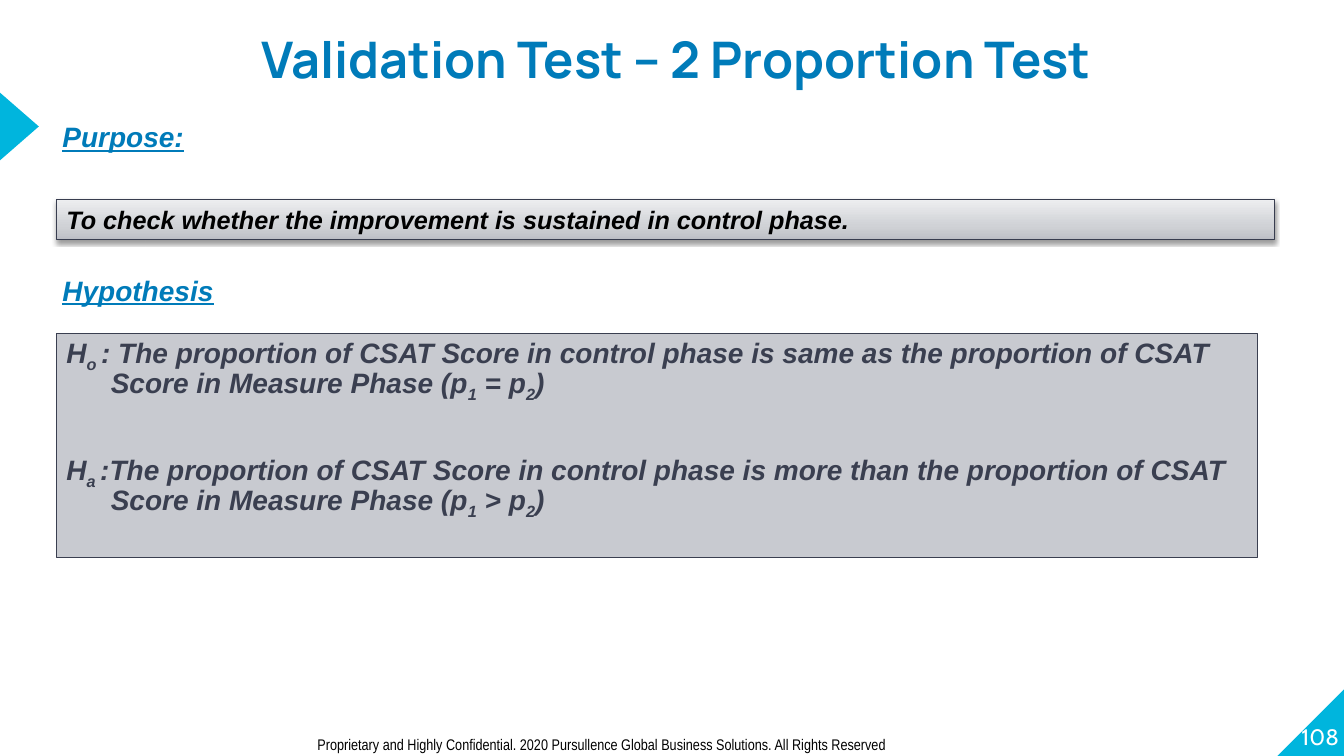
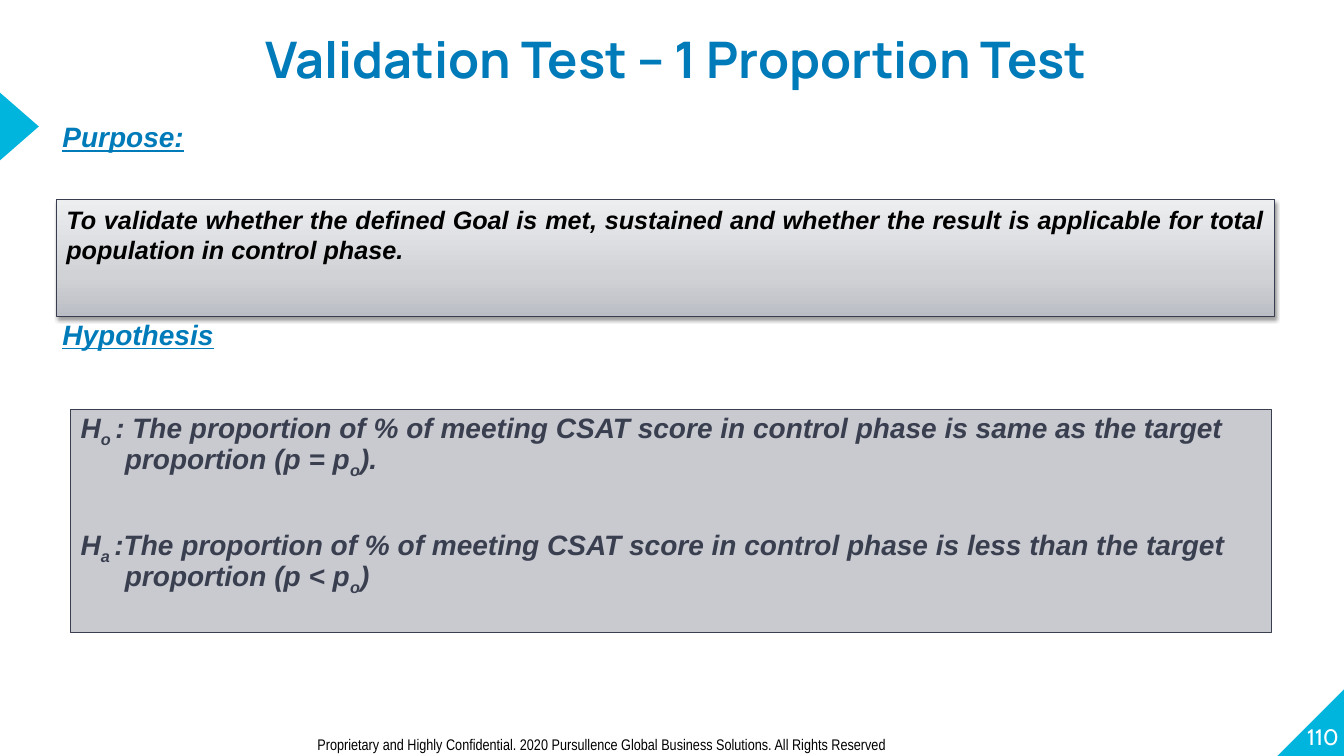
from copy import deepcopy
from dataclasses import dataclass

from pptx import Presentation
from pptx.dml.color import RGBColor
from pptx.enum.shapes import MSO_SHAPE as Shape
from pptx.enum.text import MSO_ANCHOR as Anchor, PP_ALIGN as Align
from pptx.oxml import parse_xml
from pptx.oxml.ns import nsdecls, qn
from pptx.util import Emu, Pt

PX = 9144


def px(length):
    return Emu(length * PX)


@dataclass(frozen=True)
class Theme:
    accent: str = "00B5DD"
    heading: str = "007BB9"
    ink: str = "000000"
    paper: str = "FFFFFF"
    slate: str = "3A3F50"
    panel: str = "C8CAD0"
    purpose_line: str = "383D4F"
    purpose_stops: tuple = ((0, "BCBEC5"), (0.35, "D0D2D6"), (1, "EDEEF0"))
    title_font: str = "Manrope"
    body_font: str = "Arial"
    footer_font: str = "Arial Narrow"
    number_font: str = "Cabin"
    title_size: int = 36
    heading_size: int = 20
    purpose_size: int = 18
    number_size: int = 16
    footer_size: int = 11
    line_width: float = 0.75


FOOTER = ("Proprietary and Highly Confidential. 2020 Pursullence Global "
          "Business Solutions. All Rights Reserved")
SHADOW = (f'<a:outerShdw {nsdecls("a")} blurRad="40000" dist="20000" dir="5400000" '
          'rotWithShape="0"><a:srgbClr val="000000"><a:alpha val="38000"/>'
          '</a:srgbClr></a:outerShdw>')


class Deck:
    def __init__(self, theme):
        self.theme = theme
        self.prs = Presentation()
        self.prs.slide_width, self.prs.slide_height = px(1333), px(750)
        self.slide = None

    def start_slide(self, title, number):
        t = self.theme
        self.slide = self.prs.slides.add_slide(self.prs.slide_layouts[6])
        self.shape(Shape.RIGHT_TRIANGLE, (1267, 682, 68, 68), t.accent).rotation = 270
        self.shape(Shape.ISOSCELES_TRIANGLE, (-15, 106, 68, 39), t.accent).rotation = 90
        self.text((1261, 676, 67, 68), str(number), t.number_font, t.number_size, t.paper,
                  align=Align.RIGHT, anchor=Anchor.BOTTOM, inset=False)
        self.text((305, 724, 851, 29), FOOTER, t.footer_font, t.footer_size, t.ink)
        heading = self.text((185, -2, 971, 76), title, t.title_font, t.title_size, t.heading,
                            align=Align.CENTER, inset=False, bold=True)
        heading.line_spacing = 1.5

    def shape(self, kind, box, fill=None, line=None):
        shape = self.slide.shapes.add_shape(kind, *map(px, box))
        shape.shadow.inherit = False
        if fill:
            shape.fill.solid()
            shape.fill.fore_color.rgb = RGBColor.from_string(fill)
        if line:
            shape.line.color.rgb = RGBColor.from_string(line)
            shape.line.width = Pt(self.theme.line_width)
        else:
            shape.line.fill.background()
        shape.text_frame.word_wrap = True
        shape.text_frame.vertical_anchor = Anchor.TOP
        return shape

    def style(self, paragraph, font, size, color, bold=False, italic=False, underline=False):
        face = paragraph.font
        face.name, face.size = font, Pt(size)
        face.bold, face.italic, face.underline = bold, italic, underline
        face.color.rgb = RGBColor.from_string(color)

    def text(self, box, words, font, size, color, align=Align.LEFT, anchor=Anchor.TOP,
             inset=True, **emphasis):
        frame = self.slide.shapes.add_textbox(*map(px, box)).text_frame
        frame.word_wrap = True
        frame.vertical_anchor = anchor
        if not inset:
            frame.margin_left = frame.margin_right = 0
            frame.margin_top = frame.margin_bottom = 0
        paragraph = frame.paragraphs[0]
        paragraph.text = words
        paragraph.alignment = align
        self.style(paragraph, font, size, color, **emphasis)
        return paragraph

    def section_heading(self, top, words):
        t = self.theme
        self.text((52, top, 547, 44), words, t.body_font, t.heading_size, t.heading,
                  bold=True, italic=True, underline=True)

    def purpose(self, height, words):
        t = self.theme
        panel = self.shape(Shape.RECTANGLE, (56, 198, 1208, height), line=t.purpose_line)
        panel.fill.gradient()
        panel.fill.gradient_angle = 90
        properties = panel._element.spPr
        stop_list = properties.find(qn("a:gradFill")).find(qn("a:gsLst"))
        stop_list.insert(1, deepcopy(stop_list[0]))
        for stop, (position, color) in zip(panel.fill.gradient_stops, t.purpose_stops):
            stop.position = position
            stop.color.rgb = RGBColor.from_string(color)
        properties.find(qn("a:effectLst")).append(parse_xml(SHADOW))
        paragraph = panel.text_frame.paragraphs[0]
        paragraph.text = words
        paragraph.alignment = Align.JUSTIFY
        self.style(paragraph, t.body_font, t.purpose_size, t.ink, bold=True, italic=True)

    def hypotheses(self, left, top, statements):
        t = self.theme
        panel = self.shape(Shape.RECTANGLE, (left, top, 1191, 222), t.panel, t.slate)
        frame = panel.text_frame
        for index, statement in enumerate(statements):
            paragraph = frame.add_paragraph() if index else frame.paragraphs[0]
            paragraph.alignment = Align.LEFT
            paragraph.line_spacing = 0.8
            if index:
                paragraph.space_before = Pt(40)
            indent = paragraph._p.get_or_add_pPr()
            indent.set("marL", str(px(44)))
            indent.set("indent", str(px(-44)))
            for part, words in enumerate(statement.split("|")):
                run = paragraph.add_run()
                run.text = words
                if part % 2:
                    run._r.get_or_add_rPr().set("baseline", "-25000")
            self.style(paragraph, t.body_font, t.heading_size, t.slate, bold=True, italic=True)


@dataclass(frozen=True)
class ValidationTest:
    title: str
    number: int
    purpose: str
    purpose_height: int
    hypothesis_top: int
    panel_corner: tuple
    statements: tuple


TESTS = (
    ValidationTest(
        "Validation Test – 2 Proportion Test", 108,
        "To check whether the improvement is sustained in control phase.",
        40, 266, (56, 331),
        ("H|o |: The proportion of CSAT Score in control phase is same as the proportion "
         "of CSAT Score in Measure Phase (p|1| = p|2|)",
         "H|a |:The proportion of CSAT Score in control phase is more than the proportion "
         "of CSAT Score in Measure Phase (p|1| > p|2|)")),
    ValidationTest(
        "Validation Test – 1 Proportion Test", 110,
        "To validate whether the defined Goal is met, sustained and whether the result is "
        "applicable for total population in control phase.",
        116, 310, (70, 406),
        ("H|o |: The proportion of % of meeting CSAT score in control phase is same as the "
         "target proportion (p = p|o|).",
         "H|a |:The proportion of % of meeting CSAT score in control phase is less than the "
         "target proportion (p < p|o|)")),
)


def main():
    deck = Deck(Theme())
    for test in TESTS:
        deck.start_slide(test.title, test.number)
        deck.section_heading(114, "Purpose:")
        deck.purpose(test.purpose_height, test.purpose)
        deck.section_heading(test.hypothesis_top, "Hypothesis")
        deck.hypotheses(*test.panel_corner, test.statements)
    deck.prs.save("out.pptx")


if __name__ == "__main__":
    main()
